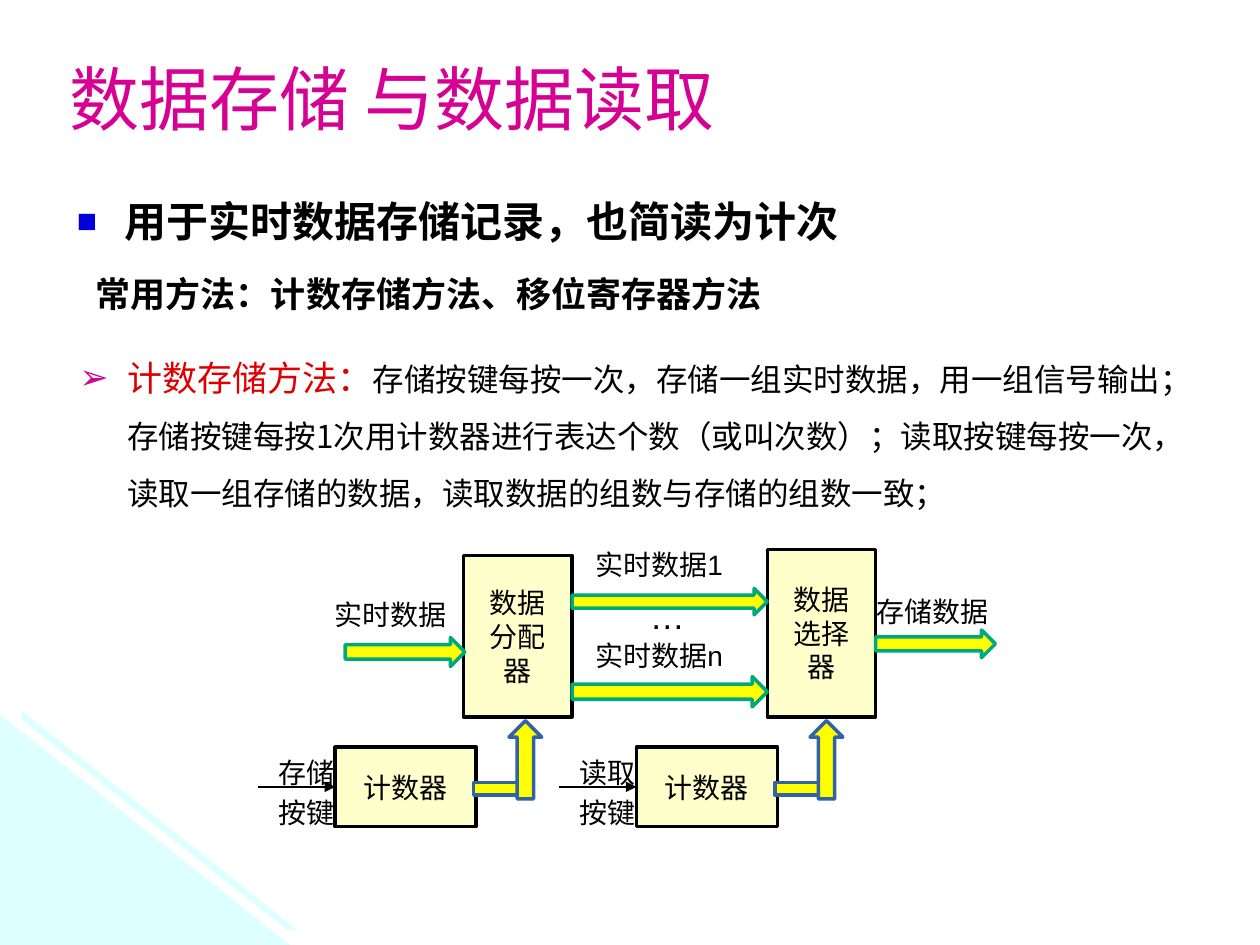
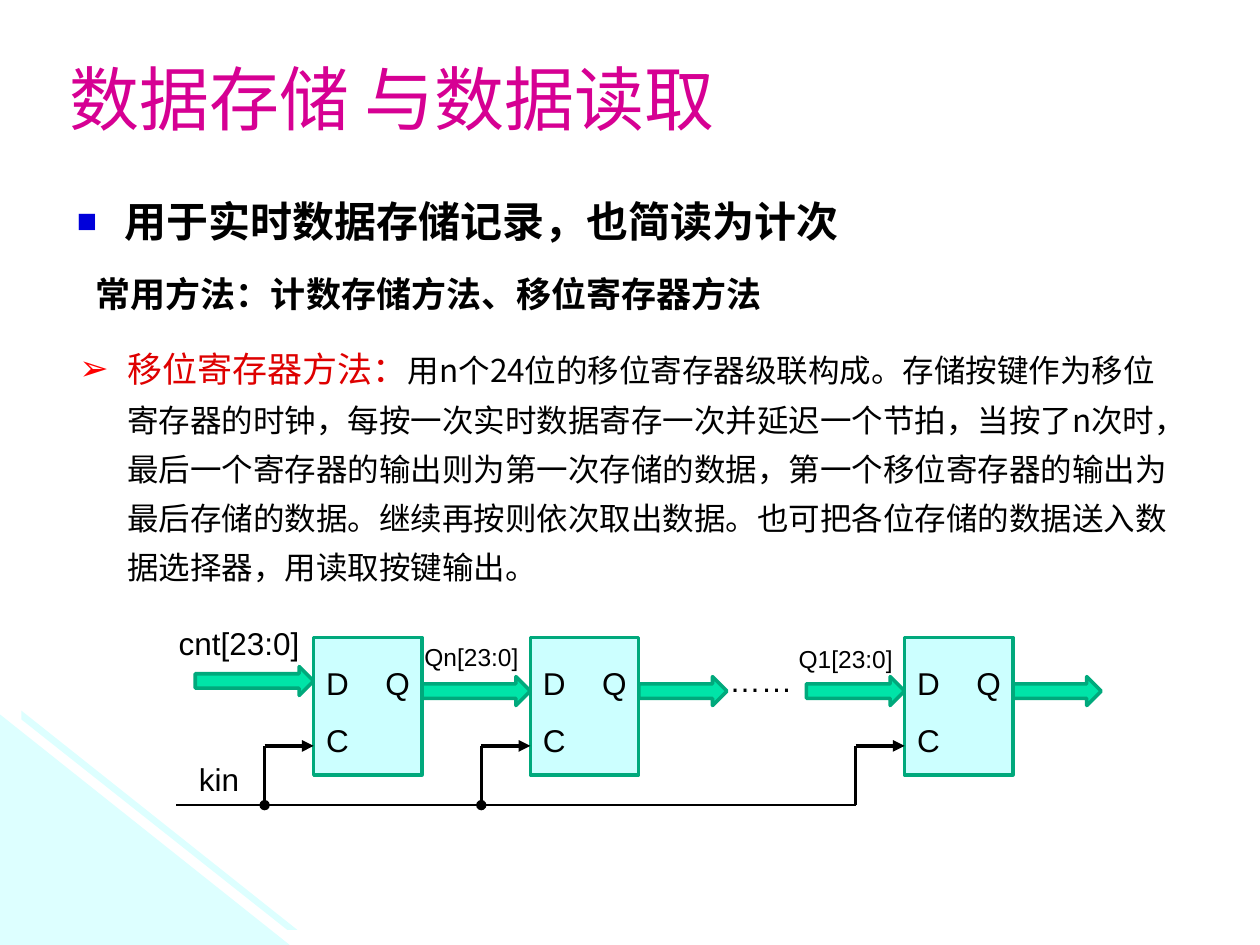
"""Build two slides on storing and reading back real-time data."""
from lxml import etree
from pptx import Presentation
from pptx.dml.color import RGBColor
from pptx.enum.shapes import MSO_CONNECTOR, MSO_SHAPE
from pptx.enum.text import MSO_ANCHOR, MSO_AUTO_SIZE, PP_ALIGN
from pptx.oxml.ns import qn
from pptx.util import Inches, Pt

RECTANGLE, RIGHT_ARROW, UP_ARROW = MSO_SHAPE.RECTANGLE, MSO_SHAPE.RIGHT_ARROW, MSO_SHAPE.UP_ARROW
STRAIGHT = MSO_CONNECTOR.STRAIGHT
LEFT, CENTER, MIDDLE, TOP = PP_ALIGN.LEFT, PP_ALIGN.CENTER, MSO_ANCHOR.MIDDLE, MSO_ANCHOR.TOP
NO_FIT = MSO_AUTO_SIZE.NONE
BLACK, MAGENTA, RED, BLUE = "000000", "D60093", "DE0000", "0000DA"
YELLOW, CREAM, GREEN, MINT, AQUA, STEEL = "FFFF00", "FFFFCC", "00A97C", "00E4A8", "CCFFFF", "3362A7"
SANS, HEADING, CHINESE = "Arial", "Karla", "Noto Sans CJK SC"

deck = Presentation()
deck.slide_width, deck.slide_height = Inches(10), Inches(7.5)
CELL = deck.slide_width / 100


def write(para, text, size, font=SANS, color=BLACK, bold=False):
    """Add a formatted span to a paragraph."""
    span = para.add_run()
    span.text = text
    for name, value in {"size": Pt(size), "name": font, "bold": bold}.items():
        setattr(span.font, name, value)
    span.font.color.rgb = RGBColor.from_string(color)
    properties = span._r.get_or_add_rPr()
    properties.set("lang", "zh-CN")
    etree.SubElement(properties, qn("a:ea"), typeface=CHINESE)


def place(page, at, kind=None, fill=None, line=None, text="", size=16, font=SANS, spacing=1.0):
    """Place a preset shape, or a text box when no kind is given, on the grid of cells."""
    area = [round(cells * CELL) for cells in at]
    if kind is None:
        box = page.shapes.add_textbox(*area)
    else:
        box = page.shapes.add_shape(kind, *area)
        box.shadow.inherit = False
        box.fill.solid()
        box.fill.fore_color.rgb = RGBColor.from_string(fill)
        box.line.color.rgb = RGBColor.from_string(line)
        box.line.width = Pt(2)
    frame = box.text_frame
    frame.word_wrap = True
    frame.vertical_anchor = TOP if kind is None else MIDDLE
    for number, words in enumerate(text.split("\n") if text else []):
        para = frame.add_paragraph() if number else frame.paragraphs[0]
        para.alignment = LEFT if kind is None else CENTER
        para.line_spacing = spacing
        write(para, words, size, font)
    return box


layout = deck.slide_layouts.get_by_name("Two Content")
areas = [(4.5, 2.5, 75.6, 10.5), (5.1, 14.2, 76.4, 6.3), (5.3, 21.1, 88.6, 27)]
for holder, area in zip(layout.placeholders, areas):
    for name, cells in zip(("left", "top", "width", "height"), area):
        setattr(holder, name, round(cells * CELL))

topics = [
    ("计数存储方法：",
     "存储按键每按一次，存储一组实时数据，用一组信号输出；存储按键每按1次用计数器进行表达个数（或叫次数）；"
     "读取按键每按一次，读取一组存储的数据，读取数据的组数与存储的组数一致；",
     MAGENTA, 1.5, 12, 0),
    ("移位寄存器方法：",
     "用n个24位的移位寄存器级联构成。存储按键作为移位寄存器的时钟，每按一次实时数据寄存一次并延迟一个节拍，"
     "当按了n次时，最后一个寄存器的输出则为第一次存储的数据，第一个移位寄存器的输出为最后存储的数据。"
     "继续再按则依次取出数据。也可把各位存储的数据送入数据选择器，用读取按键输出。",
     "FF0000", 1.3, 0, 12),
]
pages = []
for name, detail, bullet_color, spacing, before, after in topics:
    page = deck.slides.add_slide(layout)
    pages.append(page)
    title, heading, body = [holder.text_frame for holder in page.placeholders]
    for frame in (title, heading, body):
        frame.auto_size = NO_FIT
    title.paragraphs[0].alignment = LEFT
    write(title.paragraphs[0], "数据存储 与数据读取", 40, HEADING, MAGENTA)
    heading_para, methods_para, topic_para = heading.paragraphs[0], body.paragraphs[0], body.add_paragraph()
    write(heading_para, "用于实时数据存储记录，也简读为计次", 24, CHINESE, bold=True)
    write(methods_para, "常用方法：计数存储方法、移位寄存器方法", 20, CHINESE, bold=True)
    write(topic_para, name, 20, CHINESE, RED)
    write(topic_para, detail, 18, CHINESE)
    for para, line_spacing, space_before, space_after, margin, indent, bullet in [
        (heading_para, 1.2, 0, 0, 0.38, -0.38, ("■", BLUE, "80000")),
        (methods_para, 1.0, 0, after, 0.13, 0, None),
        (topic_para, spacing, before, 0, 0.38, -0.38, ("➢", bullet_color, "100000")),
    ]:
        formats = {"line_spacing": line_spacing, "space_before": Pt(space_before), "space_after": Pt(space_after)}
        for key, value in formats.items():
            setattr(para, key, value)
        properties = para._p.get_or_add_pPr()
        properties.set("marL", str(Inches(margin)))
        properties.set("indent", str(Inches(indent)))
        if bullet:
            sign, color, share = bullet
            tint = etree.SubElement(properties, qn("a:buClr"))
            etree.SubElement(tint, qn("a:srgbClr"), val=color)
            etree.SubElement(properties, qn("a:buSzPct"), val=share)
            etree.SubElement(properties, qn("a:buChar"), char=sign)
        else:
            etree.SubElement(properties, qn("a:buNone"))

counter_page, register_page = pages

outline = counter_page.shapes.build_freeform(0, 567, scale=Inches(0.01))
outline.add_line_segments([(230, 750), (0, 750)])
outline.move_to(17, 564)
outline.add_line_segments([(236, 738), (228, 738), (17, 571)])
corner = outline.convert_to_shape()
corner.shadow.inherit = False
corner.fill.solid()
corner.fill.fore_color.rgb = RGBColor.from_string("DDFFFF")
corner.line.fill.background()
corner.element.nvSpPr.cNvPr.id = 99
deck.slide_master.shapes.element.insert(2, corner.element)

wires = []
for at, text in [((36.8, 44.1, 8.6, 12.8), "数据分配器"), ((60.9, 43.6, 8.6, 13.3), "数据选择器")]:
    place(counter_page, at, RECTANGLE, CREAM, BLACK, text, font=HEADING)
for at in [(45.4, 46.7, 15.5, 2.1), (45.4, 53.7, 15.5, 2.4), (27.4, 50.6, 9.5, 2.3), (69.5, 50, 9.5, 2.2)]:
    place(counter_page, at, RIGHT_ARROW, YELLOW, GREEN)
for left, top, text in [(46.3, 43, "实时数据1"), (46.3, 50.2, "实时数据n"),
                        (25.6, 46.9, "实时数据"), (68.6, 46.7, "存储数据")]:
    place(counter_page, (left, top, 12.9, 3.7), text=text)
place(counter_page, (50.6, 46.7, 5.2, 4.4), text="…", size=20)
for number, key in enumerate(["存储", "读取"]):
    left = 26.6 + 23.9 * number
    counter = place(counter_page, (left, 59.3, 11.2, 6.3), RECTANGLE, CREAM, BLACK, "计数器", font=HEADING)
    place(counter_page, (left - 5.5, 58.9, 7.3, 7.5), text=f"{key}\n按键", spacing=1.2)
    place(counter_page, (left + 11, 62.1, 3.7, 1), RECTANGLE, YELLOW, STEEL)
    place(counter_page, (left + 13.8, 57.2, 2.6, 6.2), UP_ARROW, YELLOW, STEEL)
    wires.append((counter_page, (left - 6.1, 62.45), (left, 62.45), 1.5, {"tailEnd": "triangle"}, counter))

ARROW_TOP, CLOCK_TOP, BUS_TOP = 53.7, 59.2, 63.9
for left, top, width in [(15.5, 52.9, 9.4), (64, ARROW_TOP, 7.8)]:
    place(register_page, (left, top, width, 2.3), RIGHT_ARROW, MINT, GREEN)
for left, output, riser, dot in [(24.9, 8.6, 1.5, {"headEnd": "oval"}),
                                 (42.1, 7, 1.5, {"headEnd": "oval"}),
                                 (71.8, 7, 2.25, {})]:
    place(register_page, (left + 8.6, ARROW_TOP, output, 2.3), RIGHT_ARROW, MINT, GREEN)
    place(register_page, (left, 50.6, 8.6, 10.9), RECTANGLE, AQUA, GREEN)
    for pin, across, top in [("D", 0, 52.2), ("Q", 4.7, 52.2), ("C", 0, 56.7)]:
        place(register_page, (left + across, top, 4.7, 4), text=pin, size=18)
    tap = left - 3.9
    wires.append((register_page, (tap, BUS_TOP), (tap, CLOCK_TOP), riser, dot, None))
    wires.append((register_page, (tap, CLOCK_TOP), (left, CLOCK_TOP), 2.25, {"tailEnd": "triangle"}, None))
wires.append((register_page, (14, BUS_TOP), (tap, BUS_TOP), 1.5, {}, None))
for at, text, size in [((56.9, 52, 7, 4), "……", 18), ((13.2, 49, 15.6, 4), "cnt[23:0]", 18),
                       ((32.7, 50.5, 15.6, 3.3), "Qn[23:0]", 14), ((62.4, 50.6, 15.6, 3.3), "Q1[23:0]", 14),
                       ((14.8, 59.8, 8.6, 4), "kin", 18)]:
    place(register_page, at, text=text, size=size)

for page, start, end, width, ends, target in wires:
    wire = page.shapes.add_connector(STRAIGHT, *[round(cells * CELL) for cells in start + end])
    wire.line.color.rgb = RGBColor.from_string(BLACK)
    wire.line.width = Pt(width)
    for tag, mark in ends.items():
        etree.SubElement(wire.element.spPr.find(qn("a:ln")), qn(f"a:{tag}"), type=mark)
    etree.SubElement(wire.element.spPr, qn("a:effectLst"))
    if target:
        wire.end_connect(target, 1)

deck.save("out.pptx")
